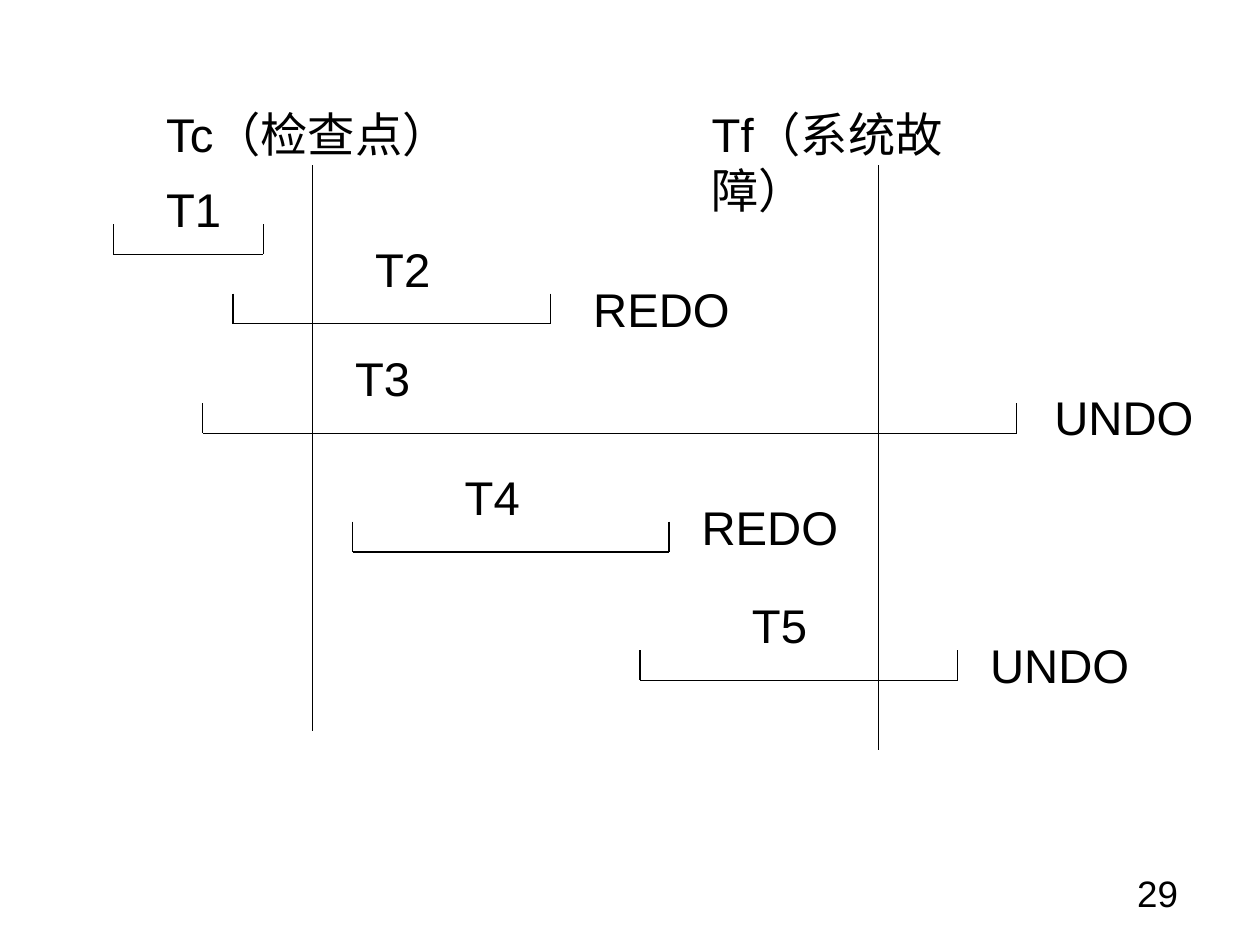
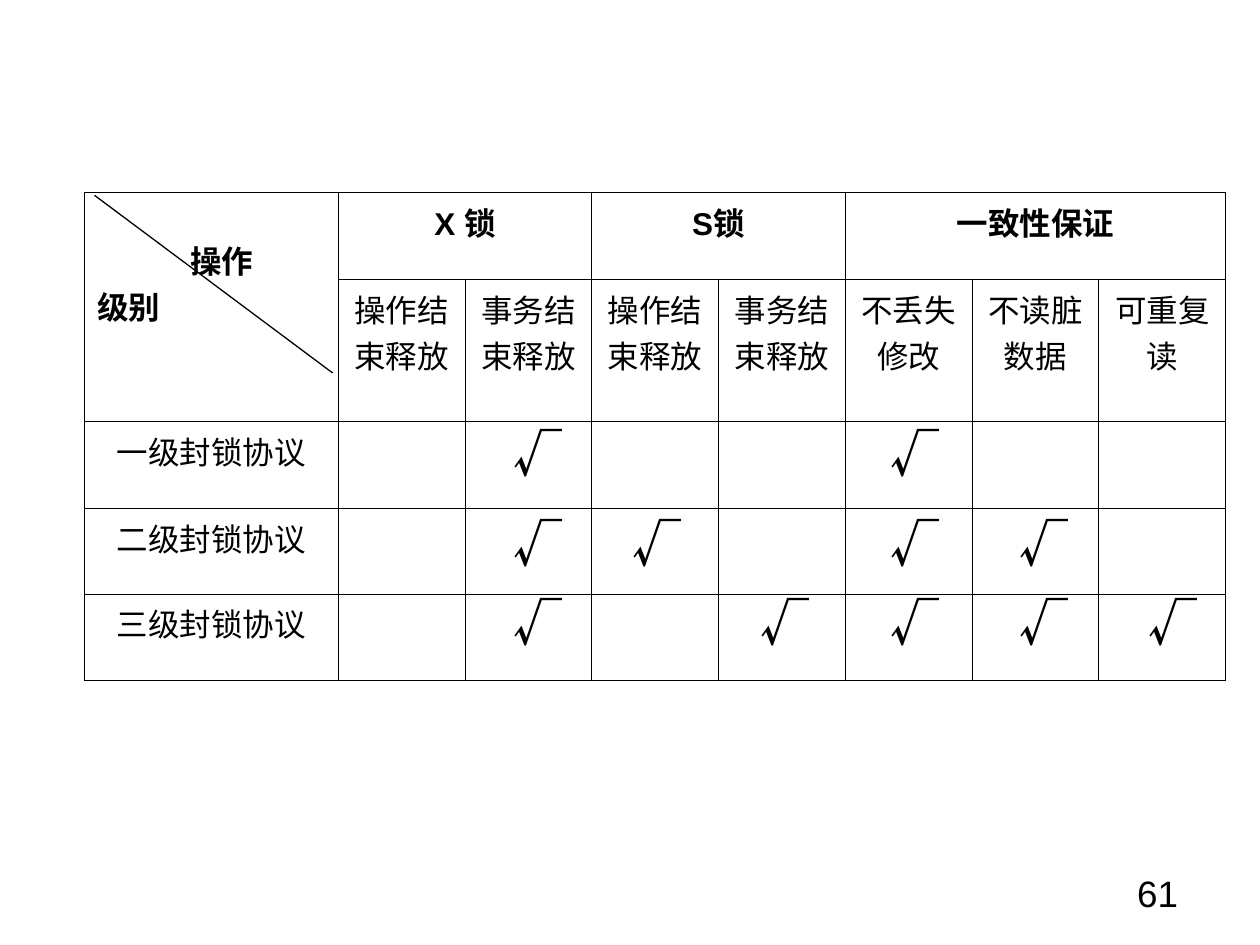
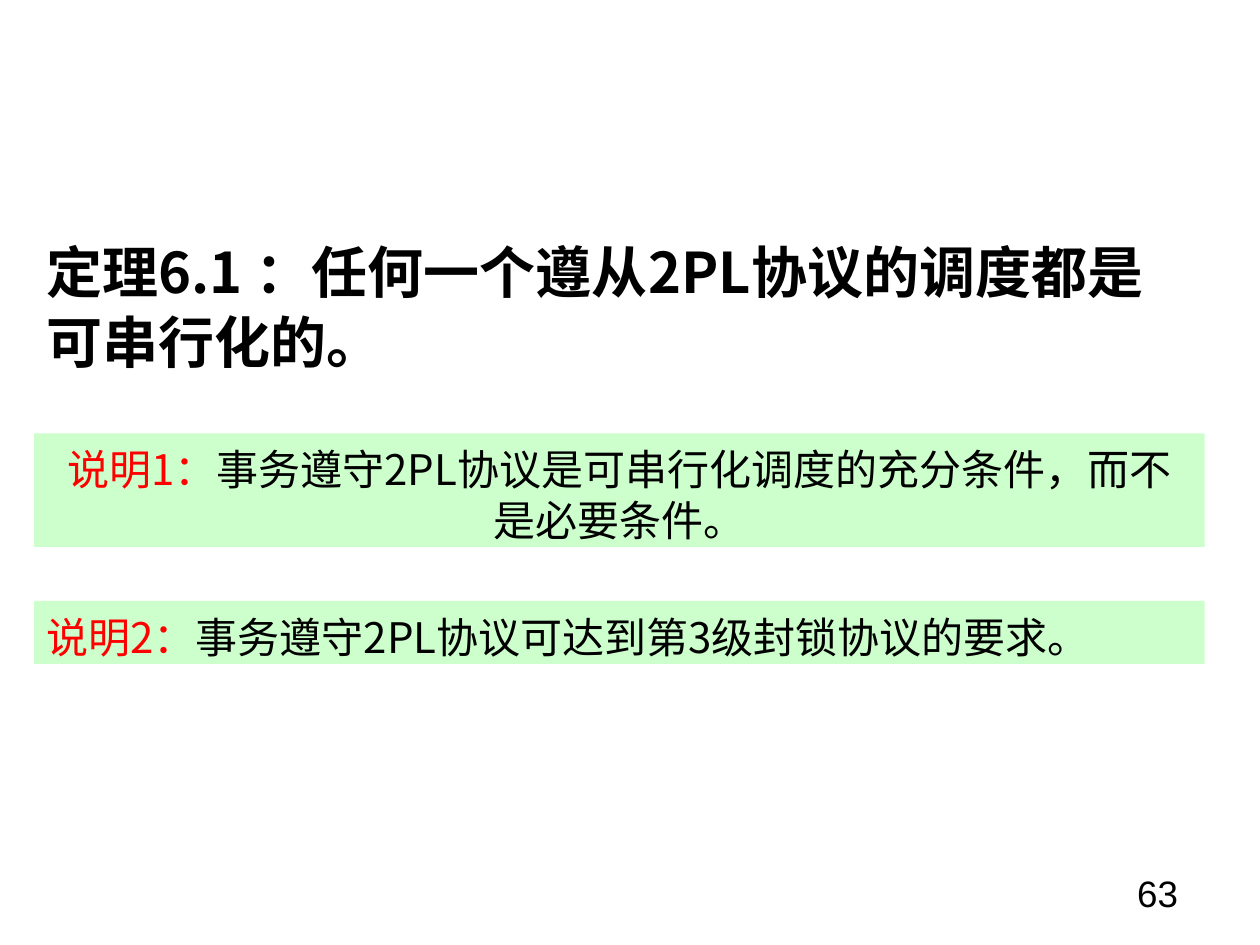
"""Build three slides on database recovery, locking protocols and two-phase locking."""
from lxml.etree import SubElement
from pptx import Presentation
from pptx.dml.color import RGBColor
from pptx.enum.shapes import MSO_CONNECTOR, MSO_SHAPE
from pptx.enum.text import MSO_ANCHOR, PP_ALIGN
from pptx.oxml.ns import qn
from pptx.util import Inches, Pt

BLACK = RGBColor(0x00, 0x00, 0x00)
WHITE = RGBColor(0xFF, 0xFF, 0xFF)
RED = RGBColor(0xFF, 0x00, 0x00)
LIGHT_GREEN = RGBColor(0xCC, 0xFF, 0xCC)
LATIN = "Arial"
CJK = "Noto Sans CJK SC"


def style(paragraph, size, font=LATIN, bold=False, align=PP_ALIGN.LEFT):
    paragraph.alignment = align
    for run in paragraph.runs:
        run.font.size = Pt(size)
        run.font.bold = bold
        run.font.color.rgb = BLACK
        run.font.name = font
        SubElement(run.font._element, qn("a:ea")).set("typeface", CJK)


def draw_line(slide, x1, y1, x2, y2):
    line = slide.shapes.add_connector(
        MSO_CONNECTOR.STRAIGHT, Inches(x1), Inches(y1), Inches(x2), Inches(y2))
    line.line.color.rgb = BLACK
    line.line.width = Pt(0.75)
    SubElement(line._element.spPr, qn("a:effectLst"))


prs = Presentation()
prs.slide_width, prs.slide_height = Inches(10), Inches(7.5)
recovery, locking, theorem = slides = [
    prs.slides.add_slide(prs.slide_layouts[6]) for _ in range(3)]

for moment, bottom in ((2.48, 5.8), (6.97, 5.95)):
    draw_line(recovery, moment, 1.31, moment, bottom)

transactions = [
    (0.9, 2.09, 2.02),
    (1.85, 4.37, 2.57),
    (1.61, 8.07, 3.44),
    (2.8, 5.31, 4.38),
    (5.08, 7.6, 5.4),
]
for start, end, base in transactions:
    draw_line(recovery, start, base - 0.24, start, base)
    draw_line(recovery, start, base, end, base)
    draw_line(recovery, end, base - 0.24, end, base)

timeline_labels = [
    ("Tc（检查点）", 1.22, 0.76, 2.68, 0.08),
    ("Tf（系统故障）", 5.55, 0.76, 2.68, 0.08),
    ("T1", 1.22, 1.39, 0.64, 0.05),
    ("T2", 2.88, 1.86, 0.64, 0.05),
    ("T3", 2.72, 2.73, 0.64, 0.05),
    ("T4", 3.59, 3.67, 0.64, 0.05),
    ("T5", 5.87, 4.69, 0.64, 0.05),
    ("REDO", 4.61, 2.18, 1.73, 0.05),
    ("REDO", 5.47, 3.91, 1.73, 0.05),
    ("UNDO", 8.27, 3.04, 1.73, 0.05),
    ("UNDO", 7.76, 5.01, 1.73, 0.05),
]
for label, left, top, width, inset in timeline_labels:
    frame = recovery.shapes.add_textbox(
        Inches(left), Inches(top), Inches(width), Inches(0.55)).text_frame
    frame.word_wrap = width > 1
    frame.margin_top = Inches(inset)
    frame.text = label
    frame.paragraphs[0].line_spacing = Pt(32)
    style(frame.paragraphs[0], 27)

protocols = locking.shapes.add_table(
    5, 8, Inches(0.67), Inches(1.53), Inches(9.06), Inches(3.74)).table
protocols.first_row = protocols.horz_banding = False
for index, column in enumerate(protocols.columns):
    column.width = Inches(9.06) * (2 if index == 0 else 1) // 9
for row, height in zip(protocols.rows, (0.69, 1, 0.69, 0.68, 0.69)):
    row.height = Inches(height)

headings = [
    ["操作\n级别", "X 锁", "", "S锁", "", "一致性保证", "", ""],
    ["", "操作结束释放", "事务结束释放", "操作结束释放", "事务结束释放",
     "不丢失修改", "不读脏数据", "可重复读"],
    ["一级封锁协议"],
    ["二级封锁协议"],
    ["三级封锁协议"],
]
for r, row in enumerate(protocols.rows):
    for c, cell in enumerate(row.cells):
        for side in ("a:lnL", "a:lnR", "a:lnT", "a:lnB"):
            border = SubElement(cell._tc.get_or_add_tcPr(), qn(side), w=str(Pt(0.45)))
            ink = SubElement(border, qn("a:solidFill"))
            SubElement(ink, qn("a:srgbClr"), val=str(BLACK))
        cell.fill.solid()
        cell.fill.fore_color.rgb = WHITE
        if c < len(headings[r]) and headings[r][c]:
            cell.text = headings[r][c]
            for paragraph in cell.text_frame.paragraphs:
                style(paragraph, 18, bold=r == 0,
                      align=PP_ALIGN.LEFT if r == c == 0 else PP_ALIGN.CENTER)

for first, last in (((0, 0), (1, 0)), ((0, 1), (0, 2)), ((0, 3), (0, 4)), ((0, 5), (0, 7))):
    protocols.cell(*first).merge(protocols.cell(*last))
corner = protocols.cell(0, 0)
corner.margin_top = Inches(0.35)
operation = corner.text_frame.paragraphs[0]
operation._p.get_or_add_pPr().set("marL", str(Inches(0.74)))
draw_line(locking, 0.75, 1.55, 2.64, 2.96)

guarantees = [
    (3.28, (3.98, 6.97)),
    (3.99, (3.98, 4.92, 6.97, 7.99)),
    (4.62, (3.98, 5.94, 6.97, 7.99, 9.02)),
]
for top, lefts in guarantees:
    for left in lefts:
        frame = locking.shapes.add_textbox(
            Inches(left), Inches(top), Inches(0.39), Inches(0.57)).text_frame
        frame.word_wrap = True
        frame.margin_top = Inches(0.08)
        frame.text = "√"
        frame.paragraphs[0].line_spacing = Pt(34)
        style(frame.paragraphs[0], 28, CJK, True, PP_ALIGN.CENTER)

statements = [
    ("", "定理6.1 ：任何一个遵从2PL协议的调度都是可串行化的。",
     1.78, 9.14, 1.26, WHITE, 32, 40, PP_ALIGN.LEFT),
    ("说明1：", "事务遵守2PL协议是可串行化调度的充分条件，而不是必要条件。",
     3.44, 9.29, 0.9, LIGHT_GREEN, 24, 29, PP_ALIGN.CENTER),
    ("说明2：", "事务遵守2PL协议可达到第3级封锁协议的要求。",
     4.77, 9.29, 0.5, LIGHT_GREEN, 24, 29, PP_ALIGN.LEFT),
]
for lead, body, top, width, height, fill, size, spacing, align in statements:
    panel = theorem.shapes.add_shape(
        MSO_SHAPE.RECTANGLE, Inches(0.27), Inches(top), Inches(width), Inches(height))
    panel.shadow.inherit = False
    panel.fill.solid()
    panel.fill.fore_color.rgb = fill
    panel.line.fill.background()
    frame = panel.text_frame
    frame.word_wrap = True
    frame.vertical_anchor = MSO_ANCHOR.TOP
    frame.margin_top = Inches(0.08)
    statement = frame.paragraphs[0]
    statement.line_spacing = Pt(spacing)
    for part in filter(None, (lead, body)):
        statement.add_run().text = part
    style(statement, size, CJK, not lead, align)
    if lead:
        statement.runs[0].font.color.rgb = RED

for slide, number in zip(slides, ("29", "61", "63")):
    frame = slide.shapes.add_textbox(
        Inches(7.17), Inches(6.83), Inches(2.33), Inches(0.52)).text_frame
    frame.word_wrap = True
    frame.margin_left = frame.margin_right = Inches(0.15)
    frame.margin_top = frame.margin_bottom = Inches(0.08)
    frame.text = number
    frame.paragraphs[0].line_spacing = Pt(25)
    style(frame.paragraphs[0], 21, align=PP_ALIGN.RIGHT)

prs.save("out.pptx")
